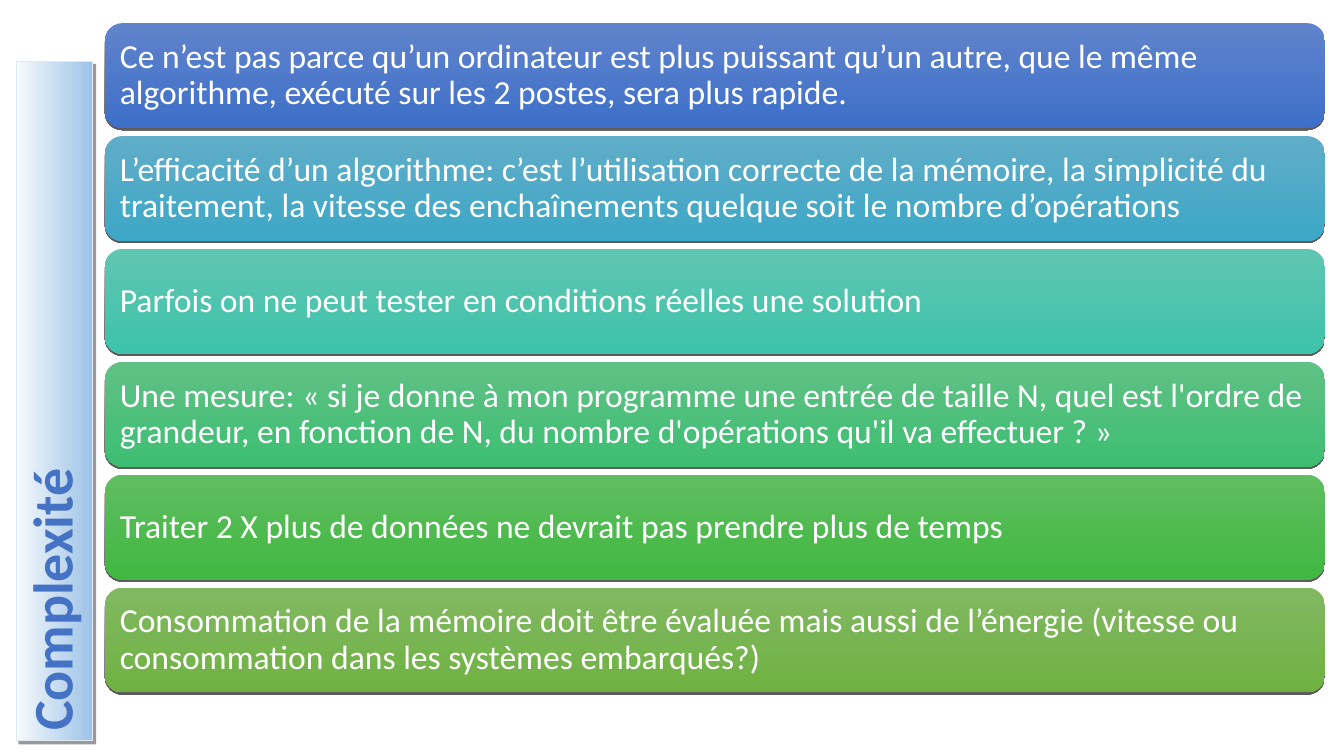
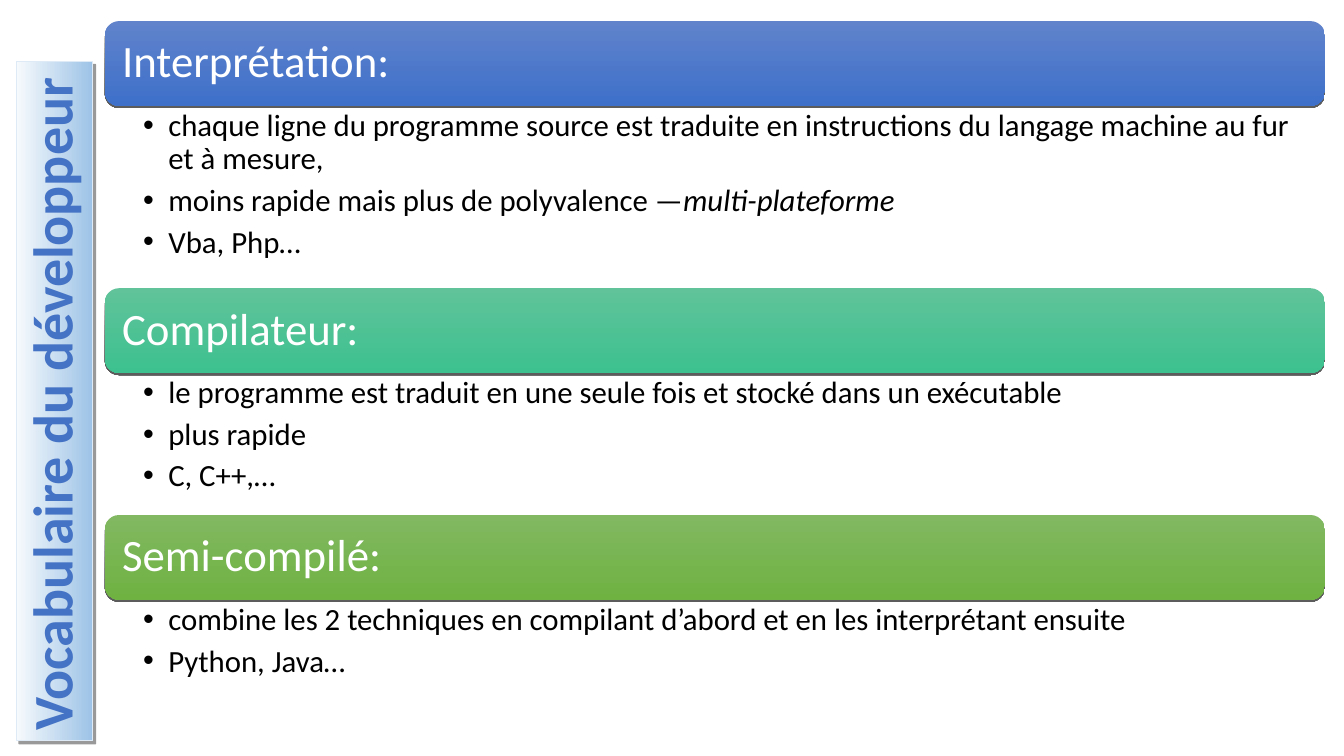
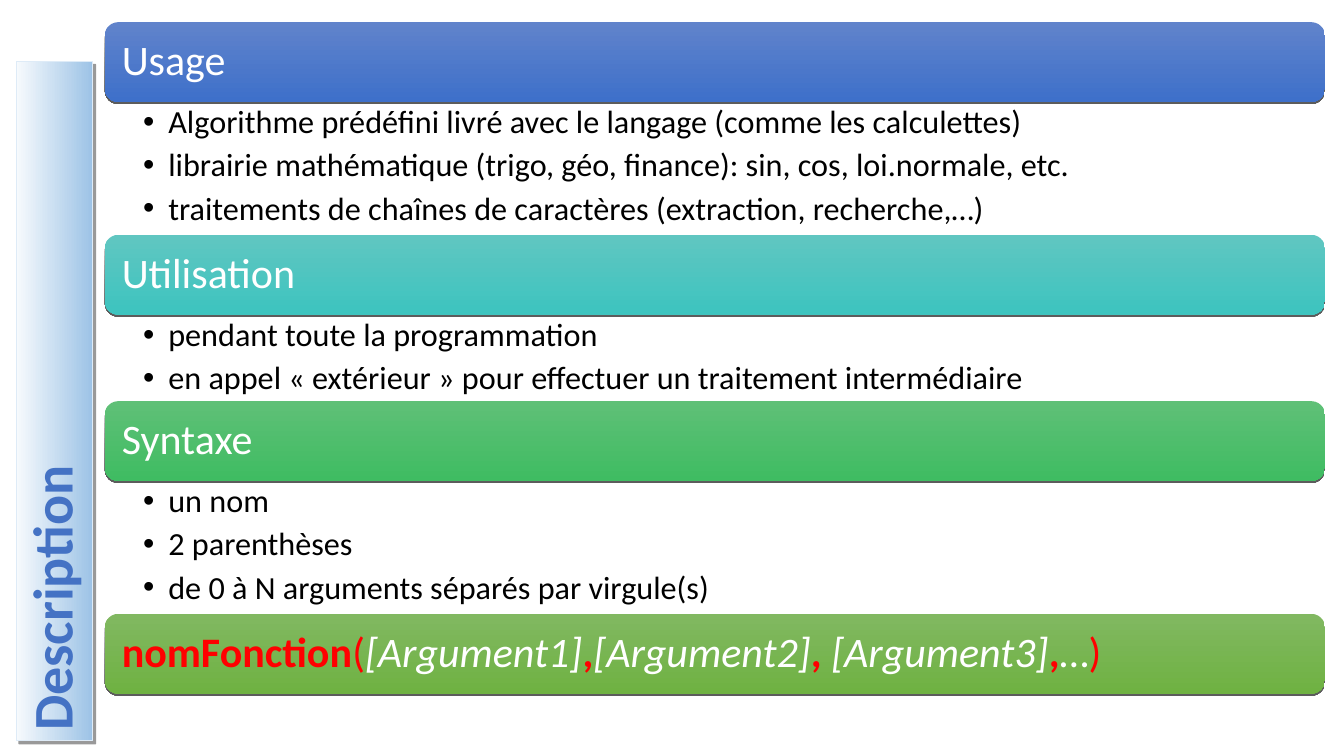
import pptx
import pptx.dml.color
import pptx.enum.shapes
import pptx.enum.text
import pptx.oxml
import pptx.oxml.ns
import pptx.util
from lxml import etree

Inches = pptx.util.Inches
Pt = pptx.util.Pt
RGB = pptx.dml.color.RGBColor
SHAPES = pptx.enum.shapes.MSO_SHAPE
ANCHOR = pptx.enum.text.MSO_ANCHOR
qn = pptx.oxml.ns.qn

FONT = "Calibri"
WHITE = RGB(0xFF, 0xFF, 0xFF)
BLACK = RGB(0x00, 0x00, 0x00)
RED = RGB(0xFF, 0x00, 0x00)
TITLE_BLUE = RGB(0x44, 0x72, 0xC4)
TITLE_EDGE = RGB(0xDE, 0xEB, 0xF7)
TITLE_FADE = (RGB(0xF7, 0xFA, 0xFD), RGB(0x9D, 0xC3, 0xE6))
BLUE = (RGB(0x60, 0x83, 0xCB), RGB(0x3E, 0x70, 0xCA))
SKY = (RGB(0x60, 0xAD, 0xC8), RGB(0x3D, 0xA7, 0xC7))
TURQUOISE = (RGB(0x60, 0xC6, 0xC1), RGB(0x3D, 0xC4, 0xBF))
TEAL = (RGB(0x60, 0xC5, 0xB1), RGB(0x3D, 0xC3, 0xAB))
MINT = (RGB(0x60, 0xC3, 0x9A), RGB(0x3D, 0xC1, 0x8F))
JADE = (RGB(0x5F, 0xC1, 0x84), RGB(0x3E, 0xBE, 0x73))
EMERALD = (RGB(0x5F, 0xC0, 0x77), RGB(0x3F, 0xBC, 0x62))
GREEN = (RGB(0x60, 0xBD, 0x60), RGB(0x40, 0xB8, 0x41))
OLIVE = (RGB(0x81, 0xB8, 0x61), RGB(0x6F, 0xB2, 0x42))

# Lengths in inches
SLIDE_W, SLIDE_H = 13.33, 7.5
BAND_LEFT, BAND_W = 1.04, 12.1
TITLE_LEFT, TITLE_TOP, TITLE_W, TITLE_H = 0.16, 0.61, 0.76, 6.74
BULLET_INDENT = 0.25

# Run styles: (bold, italic, colour)
KEYWORD = (True, False, RED)
BRACKET = (False, False, RED)
ARGUMENT = (False, True, WHITE)
PLAIN = (False, False, WHITE)
EMPHASIS = (False, True, BLACK)

COMPLEXITY_POINTS = [
    (BLUE, "Ce n’est pas parce qu’un ordinateur est plus puissant qu’un autre, "
           "que le même algorithme, exécuté sur les 2 postes, sera plus rapide."),
    (SKY, "L’efficacité d’un algorithme: c’est l’utilisation correcte de la mémoire, "
          "la simplicité du traitement, la vitesse des enchaînements quelque soit "
          "le nombre d’opérations"),
    (TEAL, "Parfois on ne peut tester en conditions réelles une solution"),
    (JADE, "Une mesure: « si je donne à mon programme une entrée de taille N, "
           "quel est l'ordre de grandeur, en fonction de N, du nombre d'opérations "
           "qu'il va effectuer ? »"),
    (GREEN, "Traiter 2 X plus de données ne devrait pas prendre plus de temps"),
    (OLIVE, "Consommation de la mémoire doit être évaluée mais aussi de l’énergie "
            "(vitesse ou consommation dans les systèmes embarqués?)"),
]

# Sections: (colours, heading, height of the bullet list, bullets)
VOCABULARY = [
    (BLUE, "Interprétation:", 1.81, [
        "chaque ligne du programme source est traduite en instructions du langage "
        "machine au fur et à mesure,",
        [("moins rapide mais plus de polyvalence —", None),
         ("multi-plateforme", EMPHASIS)],
        "Vba, Php…"]),
    (MINT, "Compilateur:", 1.41, [
        "le programme est traduit en une seule fois et stocké dans un exécutable",
        "plus rapide",
        "C, C++,…"]),
    (OLIVE, "Semi-compilé:", 0.94, [
        "combine les 2 techniques en compilant d’abord et en les interprétant ensuite",
        "Python, Java…"]),
]

FUNCTION_SYNTAX = [
    ("nomFonction", KEYWORD), ("(", BRACKET),
    ("[Argument1]", ARGUMENT), (",", KEYWORD),
    ("[Argument2]", ARGUMENT), (",", KEYWORD),
    (" [Argument3]", ARGUMENT), (",", KEYWORD),
    ("…", PLAIN), (")", BRACKET),
]

DESCRIPTION = [
    (BLUE, "Usage", 1.32, [
        "Algorithme prédéfini livré avec le langage (comme les calculettes)",
        "librairie mathématique (trigo, géo, finance): sin, cos, loi.normale, etc.",
        "traitements de chaînes de caractères (extraction, recherche,…)"]),
    (TURQUOISE, "Utilisation", 0.86, [
        "pendant toute la programmation",
        "en appel « extérieur » pour effectuer un traitement intermédiaire"]),
    (EMERALD, "Syntaxe", 1.32, [
        "un nom",
        "2 parenthèses",
        "de 0 à N arguments séparés par virgule(s)"]),
    (OLIVE, FUNCTION_SYNTAX, 0, []),
]


def fade_down(shape, colours):
    """Fill with a gradient running from the shape's top to its bottom."""
    shape.fill.gradient()
    shape.fill.gradient_angle = 270
    for stop, colour in zip(shape.fill.gradient_stops, colours):
        stop.color.rgb = colour


def cast_shadow(shape, distance, degrees, opacity):
    """Add a sharp black shadow; distance in points, opacity in percent."""
    shape.shadow.inherit = False
    effects = shape._element.spPr.find(qn("a:effectLst"))
    shadow = etree.SubElement(effects, qn("a:outerShdw"), blurRad="0",
                              dist=str(Pt(distance)), dir=str(degrees * 60000),
                              algn="ctr", rotWithShape="0")
    black = etree.SubElement(shadow, qn("a:srgbClr"), val="000000")
    etree.SubElement(black, qn("a:alpha"), val=str(opacity * 1000))


def set_insets(frame, left, top, right, bottom):
    frame.word_wrap = True
    frame.margin_left, frame.margin_top = Inches(left), Inches(top)
    frame.margin_right, frame.margin_bottom = Inches(right), Inches(bottom)


def add_bullet(paragraph):
    properties = paragraph._p.get_or_add_pPr()
    properties.set("marL", str(Inches(BULLET_INDENT)))
    properties.set("indent", str(-Inches(BULLET_INDENT)))
    etree.SubElement(properties, qn("a:buFont"), typeface="Arial")
    etree.SubElement(properties, qn("a:buChar"), char="•")


def write(paragraph, content, size, colour, space_after=0, bold=False):
    """Write a string, or a list of (text, run style) pairs."""
    paragraph.alignment = pptx.enum.text.PP_ALIGN.LEFT
    paragraph.line_spacing = 0.9
    paragraph.space_after = Pt(space_after)
    font = paragraph.font
    font.name, font.size, font.bold = FONT, Pt(size), bold
    font.color.rgb = colour
    runs = [(content, None)] if isinstance(content, str) else content
    for text, style in runs:
        run = paragraph.add_run()
        run.text = text
        if style:
            run.font.bold, run.font.italic, run.font.color.rgb = style


def add_side_title(slide, title):
    """Vertical title bar: a wide box turned a quarter to the left."""
    left = TITLE_LEFT + (TITLE_W - TITLE_H) / 2
    top = TITLE_TOP + (TITLE_H - TITLE_W) / 2
    bar = slide.shapes.add_shape(SHAPES.RECTANGLE, Inches(left), Inches(top),
                                 Inches(TITLE_H), Inches(TITLE_W))
    bar.rotation = 270
    fade_down(bar, TITLE_FADE)
    bar.line.color.rgb = TITLE_EDGE
    bar.line.width = Pt(0.75)
    cast_shadow(bar, 3, 45, 40)
    set_insets(bar.text_frame, 0.1, 0.05, 0.1, 0.05)
    bar.text_frame.vertical_anchor = ANCHOR.MIDDLE
    write(bar.text_frame.paragraphs[0], title, 40, TITLE_BLUE, bold=True)


def add_band(slide, top, height, colours, content, size, inset, space_after):
    band = slide.shapes.add_shape(SHAPES.ROUNDED_RECTANGLE, Inches(BAND_LEFT),
                                  Inches(top), Inches(BAND_W), Inches(height))
    fade_down(band, colours)
    band.line.fill.background()
    cast_shadow(band, 1.5, 90, 63)
    set_insets(band.text_frame, inset, inset, inset, inset)
    band.text_frame.vertical_anchor = ANCHOR.MIDDLE
    write(band.text_frame.paragraphs[0], content, size, WHITE, space_after)


def add_bullet_list(slide, top, height, bullets, size):
    box = slide.shapes.add_textbox(Inches(BAND_LEFT), Inches(top),
                                   Inches(BAND_W), Inches(height))
    frame = box.text_frame
    set_insets(frame, 0.38, 0.04, 0.25, 0.04)
    for index, bullet in enumerate(bullets):
        paragraph = frame.add_paragraph() if index else frame.paragraphs[0]
        add_bullet(paragraph)
        write(paragraph, bullet, size, BLACK, space_after=6)


def add_band_slide(deck, title, points, top, height, gap):
    """Slide of equal bands, one for each point."""
    slide = deck.slides.add_slide(deck.slide_layouts[6])
    for row, (colours, point) in enumerate(points):
        add_band(slide, top + row * (height + gap), height, colours, point,
                 size=24, inset=0.1, space_after=10)
    add_side_title(slide, title)


def add_section_slide(deck, title, sections, top, band_height, heading_size, bullet_size):
    """Slide of stacked sections: a heading band over its bullets."""
    slide = deck.slides.add_slide(deck.slide_layouts[6])
    for colours, heading, list_height, bullets in sections:
        add_band(slide, top, band_height, colours, heading, heading_size,
                 inset=0.13, space_after=13)
        top += band_height
        if bullets:
            add_bullet_list(slide, top, list_height, bullets, bullet_size)
        top += list_height
    add_side_title(slide, title)


def main():
    deck = pptx.Presentation()
    deck.slide_width, deck.slide_height = Inches(SLIDE_W), Inches(SLIDE_H)
    add_band_slide(deck, "Complexité", COMPLEXITY_POINTS, top=0.23, height=1.04, gap=0.08)
    add_section_slide(deck, "Vocabulaire du développeur", VOCABULARY,
                      top=0.21, band_height=0.84, heading_size=32, bullet_size=22)
    add_section_slide(deck, "Description", DESCRIPTION,
                      top=0.22, band_height=0.79, heading_size=30, bullet_size=23)
    deck.save("out.pptx")


if __name__ == "__main__":
    main()
